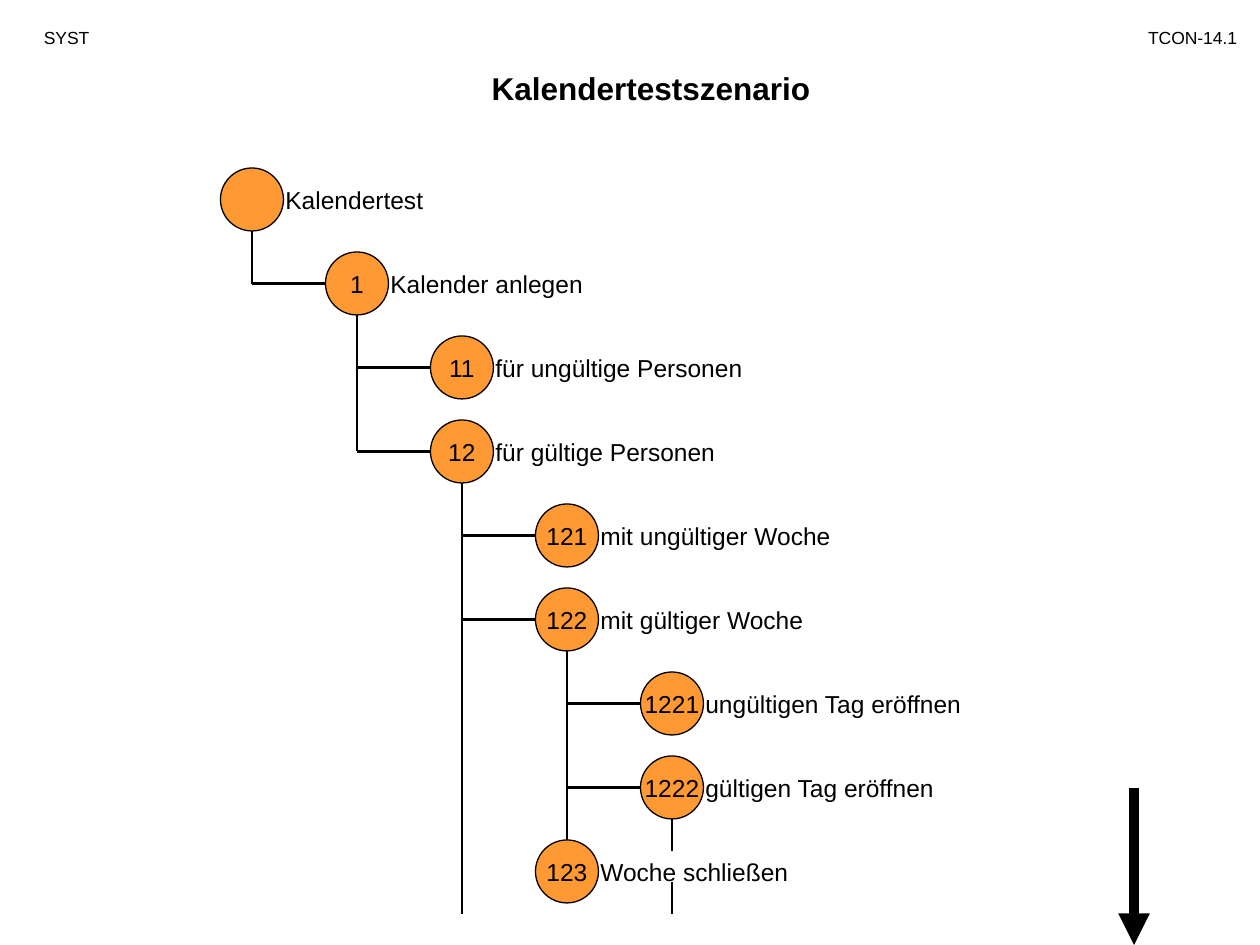
import pptx
import pptx.util
import pptx.dml.color
import pptx.enum.shapes
import pptx.enum.text
import pptx.oxml
import pptx.oxml.ns
from lxml import etree

PX = 7620  # EMU per px, 120 px to the inch
Align = pptx.enum.text.PP_ALIGN
Anchor = pptx.enum.text.MSO_ANCHOR
Kind = pptx.enum.shapes.MSO_SHAPE
Color = pptx.dml.color.RGBColor

theme = {
    "font": "Arial",
    "ink": Color(0x00, 0x00, 0x00),
    "node": Color(0xFF, 0x99, 0x33),
    "title": 18, "head": 10, "body": 14,
    "edge": 0.75, "rule": 1.5, "arrow": 6,
}

deck = pptx.Presentation()
deck.slide_width, deck.slide_height = 1200 * PX, 900 * PX
slide = deck.slides.add_slide(deck.slide_layouts[6])
shapes = slide.shapes


def write(shape, text, size, align=Align.LEFT, bold=False, wrap=True, anchor=Anchor.TOP):
    frame = shape.text_frame
    frame.text = text
    para = frame.paragraphs[0]
    para.alignment = align
    for key, val in {"word_wrap": wrap, "vertical_anchor": anchor}.items():
        setattr(frame, key, val)
    form = {"name": theme["font"], "size": pptx.util.Pt(size), "bold": bold}
    for key, val in form.items():
        setattr(para.runs[0].font, key, val)
    para.runs[0].font.color.rgb = theme["ink"]


def draw(x1, y1, x2, y2, width=theme["rule"]):
    ends = [v * PX for v in (x1, y1, x2, y2)]
    line = shapes.add_connector(pptx.enum.shapes.MSO_CONNECTOR.STRAIGHT, *ends)
    line.line.color.rgb = theme["ink"]
    line.line.width = pptx.util.Pt(width)
    etree.SubElement(line._element.spPr, pptx.oxml.ns.qn("a:effectLst"))
    return line


# Title and header
for text, box, size, align, bold in [
    ("Kalendertestszenario", (260, 60, 720, 48), theme["title"], Align.CENTER, True),
    ("SYST", (30, 20, 110, 32), theme["head"], Align.LEFT, False),
    ("TCON-14.1", (1060, 20, 130, 32), theme["head"], Align.RIGHT, False),
]:
    write(shapes.add_textbox(*[v * PX for v in box]), text, size, align, bold)

# Tree: number and label, one row each; the number's length is the depth
tree = [
    ("", "Kalendertest", 160),
    ("1", "Kalender anlegen", 210),
    ("11", "für ungültige Personen", 290),
    ("12", "für gültige Personen", 290),
    ("121", "mit ungültiger Woche", 320),
    ("122", "mit gültiger Woche", 320),
    ("1221", "ungültigen Tag eröffnen", 290),
    ("1222", "gültigen Tag eröffnen", 290),
    ("123", "Woche schließen", 230),
]
left, top, step, pitch, size = 210, 160, 100, 80, 60
half = size // 2
spine = {}  # where the next branch of each parent begins

for row, (code, label, width) in enumerate(tree):
    x, y = left + step * len(code), top + pitch * row
    mid = y + half

    # Branch from the parent
    if code and code != "123":
        stem = x + half - step
        draw(stem, spine[code[:-1]], stem, mid)
        draw(stem, mid, x, mid)
        spine[code[:-1]] = mid
    spine[code] = y + size

    # Node
    node = shapes.add_shape(Kind.OVAL, x * PX, y * PX, size * PX, size * PX)
    node.shadow.inherit = False
    node.fill.solid()
    node.fill.fore_color.rgb = theme["node"]
    node.line.color.rgb = theme["ink"]
    node.line.width = pptx.util.Pt(theme["edge"])
    if code:
        write(node, code, theme["body"], Align.CENTER, wrap=False, anchor=Anchor.MIDDLE)

    # Label
    box = shapes.add_textbox((x + 50) * PX, (y + 10) * PX, width * PX, 41 * PX)
    write(box, label, theme["body"])

# Line down to the last node, and branches that go on below
draw(540, spine["122"], 540, y).end_connect(node, 0)
draw(440, spine["12"], 440, 870)
draw(640, spine["1222"], 640, 810)
draw(640, 840, 640, 870)

# Arrow to the next page
arrow = draw(1080, 750, 1080, 900, theme["arrow"])
tail = etree.SubElement(arrow.line._get_or_add_ln(), pptx.oxml.ns.qn("a:tailEnd"))
tail.set("type", "triangle")

deck.save("out.pptx")
